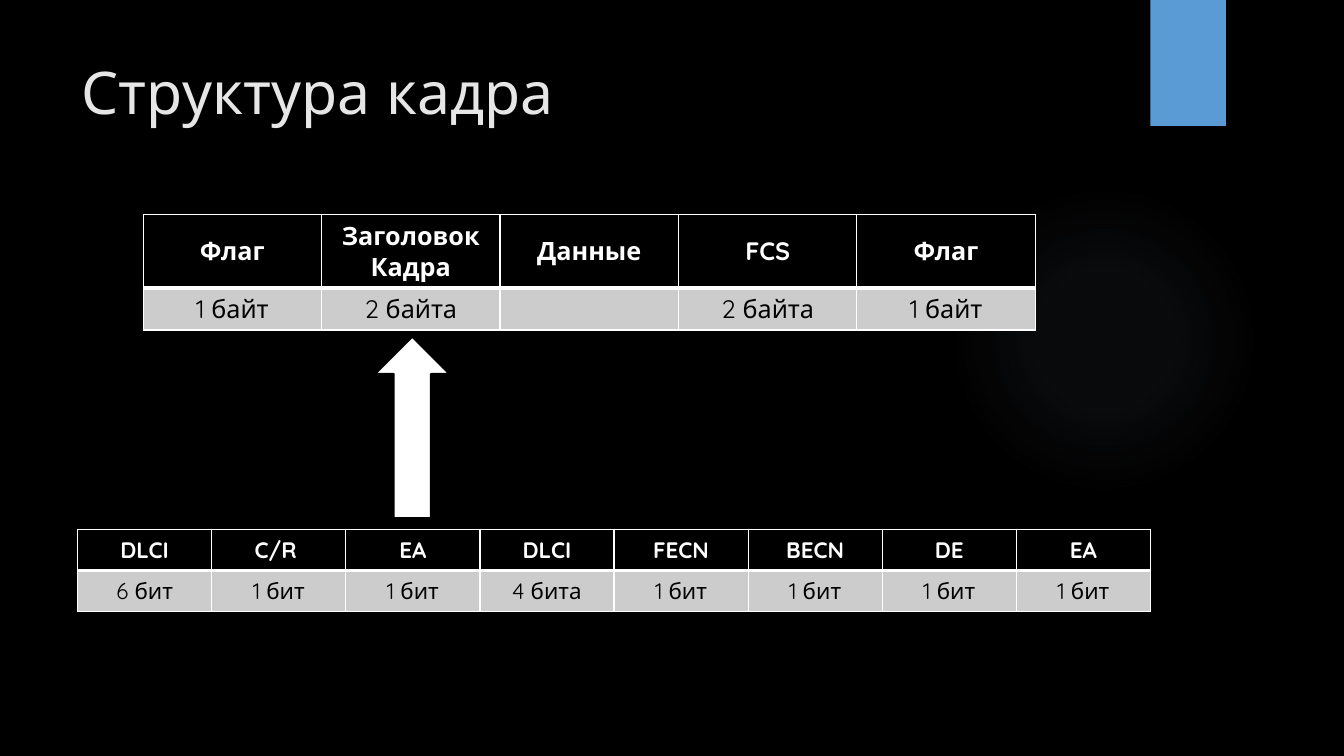
from dataclasses import dataclass

from lxml.etree import SubElement
from pptx import Presentation
from pptx.dml.color import RGBColor
from pptx.enum.shapes import MSO_SHAPE as Shape
from pptx.enum.text import MSO_ANCHOR as Anchor, PP_ALIGN as Align
from pptx.oxml import parse_xml
from pptx.oxml.ns import nsdecls, qn
from pptx.util import Inches, Pt

FONT = "Quicksand"
BLACK = RGBColor(0x00, 0x00, 0x00)
WHITE = RGBColor(0xFF, 0xFF, 0xFF)
GREY = RGBColor(0xCC, 0xCC, 0xCC)
PALE = RGBColor(0xE7, 0xE6, 0xE6)
BLUE = RGBColor(0x5B, 0x9B, 0xD5)
GLOW = RGBColor(0x84, 0x97, 0xB0)
GLOW_STOPS = ((0, 7), (36, 6), (69, 0))  # position and opacity, percent


@dataclass
class FieldTable:
    left: float
    top: float
    column_width: float
    row_heights: tuple[float, float]
    size: int
    fields: list[tuple[str, str]]


@dataclass
class RowStyle:
    fill: RGBColor
    color: RGBColor
    bold: bool
    borders: dict[str, float]


FRAME = FieldTable(1.42, 2.13, 1.77, (0.73, 0.41), 18, [
    ("Флаг", "1 байт"), ("Заголовок Кадра", "2 байта"), ("Данные", ""),
    ("FCS", "2 байта"), ("Флаг", "1 байт")])
HEADER = FieldTable(0.77, 5.25, 1.33, (0.41, 0.41), 16, [
    ("DLCI", "6 бит"), ("C/R ", "1 бит"), ("EA", "1 бит"), ("DLCI", "4 бита"),
    ("FECN", "1 бит"), ("BECN", "1 бит"), ("DE", "1 бит"), ("EA", "1 бит")])
ROW_STYLES = (
    RowStyle(BLACK, WHITE, True, {"lnL": 1, "lnR": 1, "lnT": 1, "lnB": 3}),
    RowStyle(GREY, BLACK, False, {"lnL": 1, "lnR": 1, "lnT": 3, "lnB": 1}),
)


def format_font(font, color: RGBColor, **values) -> None:
    for name, value in {"name": FONT, **values}.items():
        setattr(font, name, value)
    font.color.rgb = color


def add_figure(page, kind: Shape, box: tuple, color: RGBColor):
    figure = page.shapes.add_shape(kind, *map(Inches, box))
    figure.shadow.inherit = False
    figure.fill.solid()
    figure.fill.fore_color.rgb = color
    figure.line.fill.background()
    return figure


def add_glow(page) -> None:
    glow = add_figure(page, Shape.OVAL, (9.41, 1.83, 3.08, 3.08), GLOW)
    stops = "".join(
        f'<a:gs pos="{place * 1000}"><a:srgbClr val="{GLOW}">'
        f'<a:alpha val="{opacity * 1000}"/></a:srgbClr></a:gs>'
        for place, opacity in GLOW_STOPS)
    gradient = parse_xml(
        f'<a:gradFill {nsdecls("a")}><a:gsLst>{stops}</a:gsLst><a:path path="circle">'
        '<a:fillToRect l="50000" t="50000" r="50000" b="50000"/></a:path></a:gradFill>')
    properties = glow.element.spPr
    properties.replace(properties.find(qn("a:solidFill")), gradient)


def format_cell(cell, text: str, size: int, style: RowStyle) -> None:
    cell.vertical_anchor = Anchor.MIDDLE
    para = cell.text_frame.paragraphs[0]
    para.alignment = Align.CENTER
    if text:
        span = para.add_run()
        span.text = text
        format_font(span.font, style.color, size=Pt(size), bold=style.bold)
    # Borders come before the fill in the cell properties
    properties = cell._tc.get_or_add_tcPr()
    for side, width in style.borders.items():
        line = SubElement(properties, qn(f"a:{side}"), w=str(Pt(width)))
        fill = SubElement(line, qn("a:solidFill"))
        SubElement(fill, qn("a:srgbClr"), val=str(WHITE))
    cell.fill.solid()
    cell.fill.fore_color.rgb = style.fill


def add_field_table(page, spec_table: FieldTable) -> None:
    count = len(spec_table.fields)
    table = page.shapes.add_table(
        2, count, Inches(spec_table.left), Inches(spec_table.top),
        Inches(spec_table.column_width * count), Inches(sum(spec_table.row_heights))).table
    for row, height in zip(table.rows, spec_table.row_heights):
        row.height = Inches(height)
    for column, texts in enumerate(spec_table.fields):
        table.columns[column].width = Inches(spec_table.column_width)
        for row, (text, style) in enumerate(zip(texts, ROW_STYLES)):
            format_cell(table.cell(row, column), text, spec_table.size, style)


def add_title(page, text: str) -> None:
    title = page.shapes.title
    box = {"left": 0.71, "top": 0.5, "width": 10.29, "height": 1.53}
    for name, value in box.items():
        setattr(title, name, Inches(value))
    title.text_frame.text = text
    title.text_frame.vertical_anchor = Anchor.TOP
    para = title.text_frame.paragraphs[0]
    para.alignment = Align.LEFT
    format_font(para.runs[0].font, PALE, size=Pt(42))


def main() -> None:
    deck = Presentation()
    deck.slide_width, deck.slide_height = Inches(13.33), Inches(7.5)
    page = deck.slides.add_slide(deck.slide_layouts[5])
    page.background.fill.solid()
    page.background.fill.fore_color.rgb = BLACK

    # Backdrop and title
    add_glow(page)
    add_figure(page, Shape.RECTANGLE, (11.41, 0, 0.75, 1.25), BLUE)
    add_title(page, "Структура кадра")

    # Header fields, pointing up to their place in the frame
    add_field_table(page, HEADER)
    arrow = add_figure(page, Shape.UP_ARROW, (3.72, 3.34, 0.74, 1.8), WHITE)
    arrow.line.color.rgb = BLACK
    arrow.line.width = Pt(1.5)
    add_field_table(page, FRAME)

    deck.save("out.pptx")


if __name__ == "__main__":
    main()
